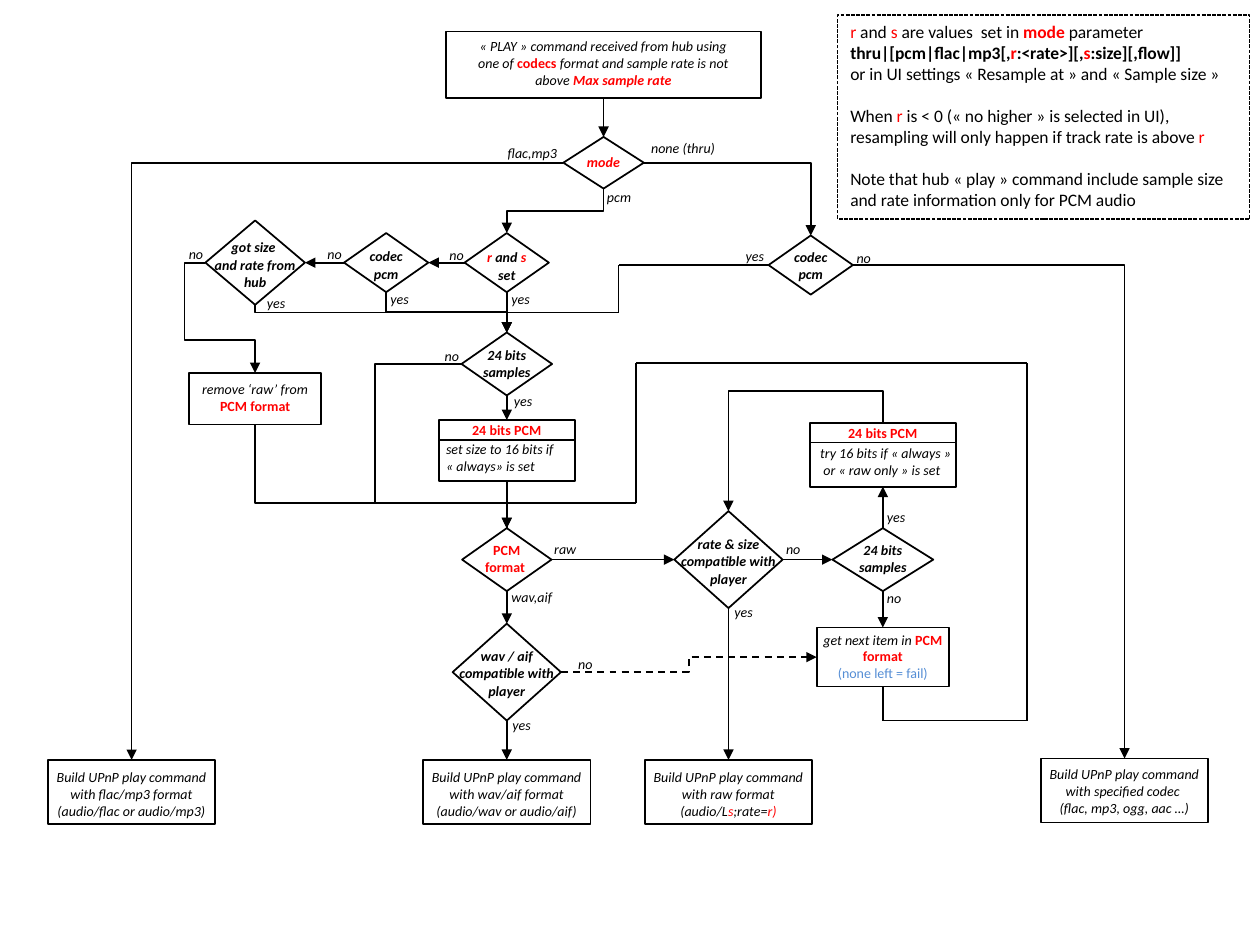
"""Build the flowchart of an audio player's PLAY command."""
from itertools import pairwise
from typing import NamedTuple

from lxml.etree import SubElement
from pptx import Presentation
from pptx.dml.color import RGBColor
from pptx.enum.dml import MSO_LINE as Dash
from pptx.enum.shapes import MSO_CONNECTOR as Connector, MSO_SHAPE as Preset
from pptx.enum.text import MSO_ANCHOR as Anchor, PP_ALIGN as Align
from pptx.oxml.ns import qn
from pptx.util import Pt

BLACK, RED, BLUE = "000000", "FF0000", "558ED5"
TOP, LEFT, BOTTOM, RIGHT = range(4)
MAIN, RATE, NEXT = 289.6, 416.3, 504.5


class Words(NamedTuple):
    text: str
    style: str = "i"
    color: str = BLACK


class Decision(NamedTuple):
    name: str
    x: float
    y: float
    width: float
    height: float
    caption: list
    caption_width: float
    lines: int = 2
    drop: float = 0


class Process(NamedTuple):
    name: str
    x: float
    top: float
    width: float
    height: float
    caption: list
    caption_width: float
    drop: float = 1.4
    align: Align = Align.CENTER
    caption_shift: float = 0


class Link(NamedTuple):
    source: str
    source_side: int
    target: str
    target_side: int
    arrow: bool = True


class Elbow(NamedTuple):
    source: str
    source_side: int
    target: str
    target_side: int
    preset: int
    rotation: int = 0
    flips: str = ""
    bends: tuple = ()
    dash: Dash | None = None


def bold(text: str, color: str = BLACK) -> Words:
    return Words(text, "bi", color)


def red(text: str, style: str = "b") -> Words:
    return Words(text, style, RED)


def build(media: str, *formats: Words) -> list:
    return [[Words(f"Build UPnP play command with {media}")], list(formats)]


DECISIONS = [
    Decision("mode", 344.9, 93, 46, 29.5, [[red("mode", "bi")]], 39, 1, -0.8),
    Decision("r and s", MAIN, 150.1, 48.2, 33.8,
             [[red("r", "bi"), bold(" and "), red("s", "bi")], [bold("set")]], 37.4, drop=1.6),
    Decision("codec", 220.7, 150.1, 48.2, 33.8, [[bold("codec")], [bold("pcm")]], 37.4, drop=1),
    Decision("got size", 145.8, 150.1, 56.9, 48.2,
             [[bold("got size ")], [bold("and rate from hub")]], 68.4, 3, 1),
    Decision("thru codec", 463.3, 151.5, 48.2, 33.8, [[bold("codec")], [bold("pcm")]], 37.4),
    Decision("24 bits", MAIN, 208, 51.8, 36, [[bold("24 bits samples ")]], 42.5, drop=-0.6),
    Decision("format", MAIN, 319.8, 51.1, 36, [[red("PCM")], [red("format ")]], 43.2, drop=-0.8),
    Decision("rate", RATE, 319.8, 61.9, 55.4,
             [[bold("rate & size compatible with player")]], 76.3, 3, 0.6),
    Decision("raw 24 bits", NEXT, 319.8, 57.6, 36, [[bold("24 bits samples ")]], 42.5, drop=-0.8),
    Decision("wav", MAIN, 384.1, 61.9, 55.4,
             [[bold("wav / aif compatible with player")]], 76.3, 3, 0.4),
]
PROCESSES = [
    Process("play", 344.9, 18, 180, 38.2,
            [[Words("« PLAY » command received from hub using one of "), red("codecs"),
              Words(" format and sample rate is not above "), red("Max sample rate", "bi")]], 160.6, 0),
    Process("remove raw", 145.8, 213.1, 75.6, 29.5,
            [[Words("remove ‘raw’ from "), red("PCM format")]], 82, 0.7),
    Process("next", NEXT, 358.6, 75.6, 33.8,
            [[Words("get next item in "), red("PCM format")],
             [Words("(none left = fail)", "", BLUE)]], 84, -1.4),
    Process("set size", MAIN, 251.3, 77.8, 23.8,
            [[Words("set size to 16 bits if « always» is set")]], 80, -2.9, Align.LEFT, -1.8),
    Process("try size", NEXT, 252.9, 83.5, 25.2,
            [[Words("try 16 bits if « always »  or « raw only » is set")]],
            89.3, -2.4, Align.LEFT, 1.8),
    Process("build flac", 75.2, 434.2, 95.8, 36.7,
            build("flac/mp3 format", Words("(audio/flac or audio/mp3)")), 103.7),
    Process("build wav", MAIN, 434.2, 95.8, 36.7,
            build("wav/aif format", Words("(audio/wav or audio/aif)")), 103.7),
    Process("build raw", RATE, 434.2, 95.8, 36.7,
            build("raw format", Words("(audio/L"), red("s", "i"), Words(";rate="), red("r)", "i")), 103.7),
    Process("build codec", 642.6, 433.4, 95.8, 36.7,
            build("specified codec ", Words("(flac, mp3, ogg, aac …)")), 103.7, 0.7),
]
HEADERS = {"set size": "set header", "try size": "try header"}
HEADER_HEIGHT = 11.3
LINKS = [
    Link("play", BOTTOM, "mode", TOP), Link("r and s", BOTTOM, "24 bits", TOP),
    Link("r and s", LEFT, "codec", RIGHT), Link("codec", LEFT, "got size", RIGHT),
    Link("24 bits", BOTTOM, "set header", TOP), Link("set size", BOTTOM, "format", TOP, False),
    Link("format", RIGHT, "rate", LEFT), Link("format", BOTTOM, "wav", TOP),
    Link("wav", BOTTOM, "build wav", TOP), Link("rate", BOTTOM, "build raw", TOP),
    Link("rate", RIGHT, "raw 24 bits", LEFT), Link("raw 24 bits", TOP, "try size", BOTTOM),
    Link("raw 24 bits", BOTTOM, "next", TOP),
]
ELBOWS = [
    Elbow("mode", LEFT, "build flac", TOP, 2, 180, "V"),
    Elbow("mode", RIGHT, "thru codec", TOP, 2),
    Elbow("mode", BOTTOM, "r and s", TOP, 3, 90, "", (0.5,)),
    Elbow("codec", BOTTOM, "24 bits", TOP, 3, 270, "H", (0.5,)),
    Elbow("got size", BOTTOM, "24 bits", TOP, 3, 270, "H", (0.28,)),
    Elbow("got size", LEFT, "remove raw", TOP, 4, 180, "HV", (-0.42, 0.7)),
    Elbow("24 bits", LEFT, "format", TOP, 4, 180, "HV", (-1.9, 0.85)),
    Elbow("remove raw", BOTTOM, "format", TOP, 3, 270, "H", (0.76,)),
    Elbow("try header", TOP, "rate", TOP, 3, 270, "HV", (-0.36,)),
    Elbow("thru codec", RIGHT, "build codec", TOP, 2),
    Elbow("wav", RIGHT, "next", LEFT, 3, 0, "V", (0.5,), Dash.DASH),
]
ROUTES = [
    ("next", BOTTOM, [(NEXT, 411.8), (586.8, 411.8), (586.8, 207.4), (363.6, 207.4),
                      (363.6, 287.3), (MAIN, 287.3)]),
    ("thru codec", LEFT, [(353.5, 151.5), (353.5, 178.6), (MAIN, 178.6)]),
]
LABELS = {
    "yes": [(285.1, 162.7), (286.6, 221), (412.6, 341.3), (499.7, 287.3), (216, 162.7),
            (419, 138.2), (145.4, 164.9), (285.8, 406.1)],
    "no": [(442.1, 305.3), (499.7, 333.4), (247, 195.1), (249.8, 137.5), (180, 136.8),
           (100.8, 136.8), (482.4, 139), (323.3, 370.8)],
    "wav,aif": [(285.1, 332.6)], "raw": [(309.6, 305.3)], "pcm": [(339.8, 104.4)],
    "flac,mp3": [(283, 79.2)], "none (thru)": [(365, 76.3)],
}
LABEL_WIDTHS = {"yes": 28, "no": 28, "raw": 32, "pcm": 28, "wav,aif": 41, "flac,mp3": 52, "none (thru)": 81}
NOTE = [
    [red("r", ""), Words(" and ", ""), red("s", ""), Words(" are values  set in ", ""),
     red("mode "), Words("parameter", "")],
    [Words("thru|[pcm|flac|mp3[,", "b"), red("r"), Words(":<rate>][,", "b"), red("s"),
     Words(":size][,flow]]", "b")],
    [Words("or in UI settings « Resample at » and « Sample size »", "")],
    [Words("When ", ""), red("r ", ""),
     Words("is < 0 (« no higher » is selected in UI), resampling will only happen "
           "if track rate is above ", ""), red("r", "")],
    [Words("Note that hub « play » command include sample size and rate information "
           "only for PCM audio", "")],
]


def rgb(color: str) -> RGBColor:
    return RGBColor.from_string(color)


def write(shape, paragraphs: list, align=Align.CENTER, size=8, spacing=None) -> None:
    frame = shape.text_frame
    frame.word_wrap = True
    for index, parts in enumerate(paragraphs):
        paragraph = frame.add_paragraph() if index else frame.paragraphs[0]
        paragraph.alignment, paragraph.line_spacing = align, spacing
        for words in parts:
            run = paragraph.add_run()
            run.text = words.text
            run.font.name, run.font.size = "Calibri", Pt(size)
            run.font.bold, run.font.italic = "b" in words.style, "i" in words.style
            run.font.color.rgb = rgb(words.color)


def outline(shapes, preset, left, top, width, height, weight=1.0):
    shape = shapes.add_shape(preset, Pt(left), Pt(top), Pt(width), Pt(height))
    shape.shadow.inherit = False
    shape.fill.background()
    shape.line.color.rgb, shape.line.width = rgb(BLACK), Pt(weight)
    return shape


def text_box(shapes, left, top, width, height, paragraphs, align=Align.CENTER, spacing=None) -> None:
    box = shapes.add_textbox(Pt(left), Pt(top), Pt(width), Pt(height))
    write(box, paragraphs, align, spacing=spacing)


def draw_decision(shapes, item: Decision):
    shape = outline(shapes, Preset.FLOWCHART_DECISION, item.x - item.width / 2,
                    item.y - item.height / 2, item.width, item.height)
    height = 10 * item.lines + 7.2
    text_box(shapes, item.x - item.caption_width / 2, item.y - height / 2 + item.drop,
             item.caption_width, height, item.caption, spacing=Pt(10))
    return shape


def draw_process(shapes, item: Process):
    shape = outline(shapes, Preset.RECTANGLE, item.x - item.width / 2, item.top, item.width, item.height)
    text_box(shapes, item.x - item.caption_width / 2 + item.caption_shift, item.top + item.drop,
             item.caption_width, item.height, item.caption, item.align)
    return shape


def draw_header(shapes, item: Process):
    shape = outline(shapes, Preset.RECTANGLE, item.x - item.width / 2, item.top - HEADER_HEIGHT,
                    item.width, HEADER_HEIGHT)
    shape.text_frame.margin_top = shape.text_frame.margin_bottom = 0
    shape.text_frame.vertical_anchor = Anchor.MIDDLE
    write(shape, [[red("24 bits PCM")]])
    return shape


def side_point(shape, side: int) -> tuple[int, int]:
    x = shape.left + {LEFT: 0, RIGHT: shape.width}.get(side, shape.width // 2)
    y = shape.top + {TOP: 0, BOTTOM: shape.height}.get(side, shape.height // 2)
    return x, y


def add_line(shapes, start, end, arrow=True, kind=Connector.STRAIGHT):
    connector = shapes.add_connector(kind, *start, *end)
    connector.line.color.rgb, connector.line.width = rgb(BLACK), Pt(1)
    if arrow:
        SubElement(connector.line._get_or_add_ln(), qn("a:tailEnd"), type="triangle")
    SubElement(connector._element.spPr, qn("a:effectLst"))
    return connector


def draw_link(shapes, nodes: dict, link: Link) -> None:
    source, target = nodes[link.source], nodes[link.target]
    line = add_line(shapes, side_point(source, link.source_side),
                    side_point(target, link.target_side), link.arrow)
    line.begin_connect(source, link.source_side)
    line.end_connect(target, link.target_side)


def draw_elbow(shapes, nodes: dict, elbow: Elbow) -> None:
    x1, y1 = side_point(nodes[elbow.source], elbow.source_side)
    x2, y2 = side_point(nodes[elbow.target], elbow.target_side)
    width, height = abs(x2 - x1), abs(y2 - y1)
    if elbow.rotation in (90, 270):
        width, height = height, width
    left, top = (x1 + x2 - width) // 2, (y1 + y2 - height) // 2
    line = add_line(shapes, (left, top), (left + width, top + height), kind=Connector.ELBOW)
    if elbow.dash:
        line.line.dash_style = elbow.dash
    properties = line._element.spPr
    frame, geometry = properties.find(qn("a:xfrm")), properties.find(qn("a:prstGeom"))
    frame.set("rot", str(elbow.rotation * 60000))
    for axis in elbow.flips:
        frame.set(f"flip{axis}", "1")
    geometry.set("prst", f"bentConnector{elbow.preset}")
    guides = geometry.find(qn("a:avLst"))
    for number, bend in enumerate(elbow.bends, 1):
        SubElement(guides, qn("a:gd"), name=f"adj{number}", fmla=f"val {round(bend * 100000)}")


def draw_note(shapes) -> None:
    note = outline(shapes, Preset.RECTANGLE, 478.8, 8.6, 235.4, 116.6, 0.75)
    note.line.dash_style = Dash.SQUARE_DOT
    note.text_frame.vertical_anchor = Anchor.TOP
    write(note, NOTE, Align.LEFT, 10)
    for paragraph in note.text_frame.paragraphs[3:]:
        paragraph.space_before = Pt(12)


def main() -> None:
    presentation = Presentation()
    presentation.slide_width, presentation.slide_height = Pt(720), Pt(540)
    shapes = presentation.slides.add_slide(presentation.slide_layouts[6]).shapes
    nodes = {item.name: draw_decision(shapes, item) for item in DECISIONS}
    for item in PROCESSES:
        nodes[item.name] = draw_process(shapes, item)
        if item.name in HEADERS:
            nodes[HEADERS[item.name]] = draw_header(shapes, item)
    for link in LINKS:
        draw_link(shapes, nodes, link)
    for elbow in ELBOWS:
        draw_elbow(shapes, nodes, elbow)
    for name, side, points in ROUTES:
        stops = [side_point(nodes[name], side)] + [(Pt(x), Pt(y)) for x, y in points]
        lines = [add_line(shapes, start, end, False) for start, end in pairwise(stops)]
        lines[0].begin_connect(nodes[name], side)
    for text, places in LABELS.items():
        for left, top in places:
            text_box(shapes, left, top, LABEL_WIDTHS[text], 17, [[Words(text)]], Align.LEFT)
    draw_note(shapes)
    presentation.save("out.pptx")


if __name__ == "__main__":
    main()
